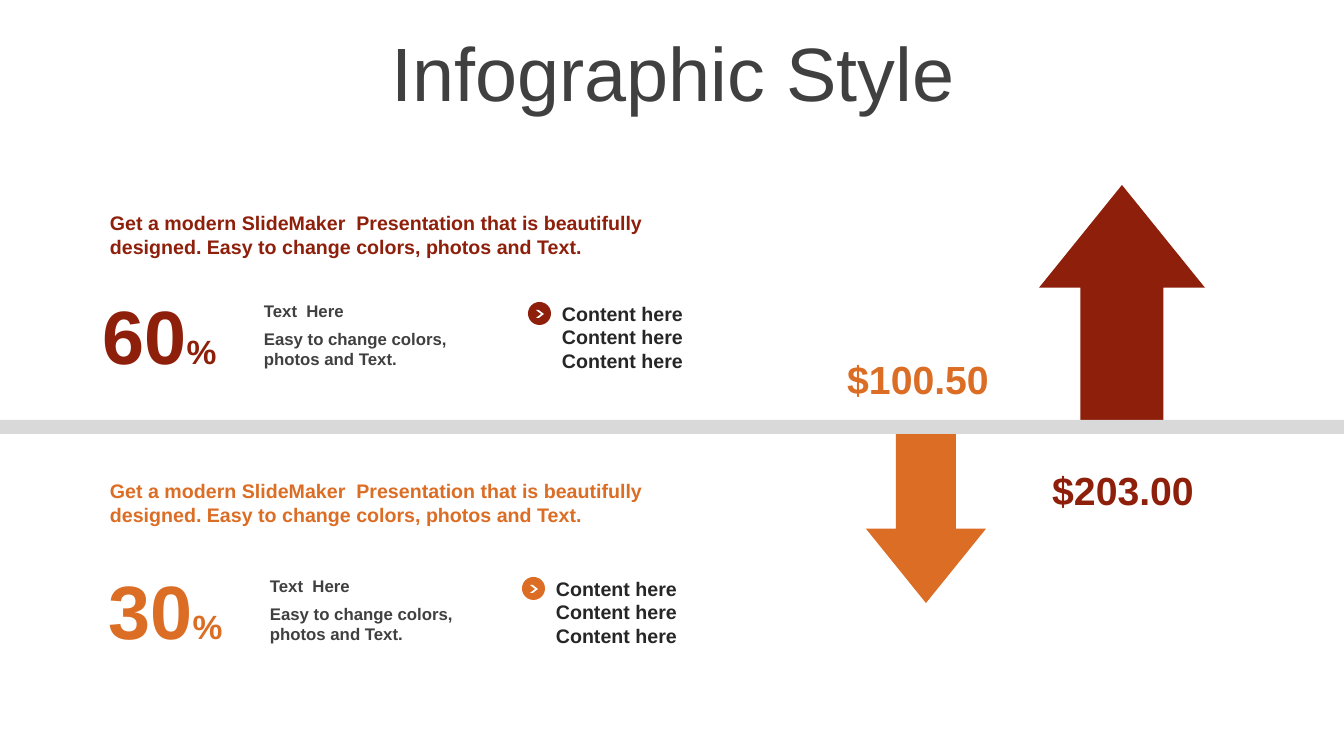
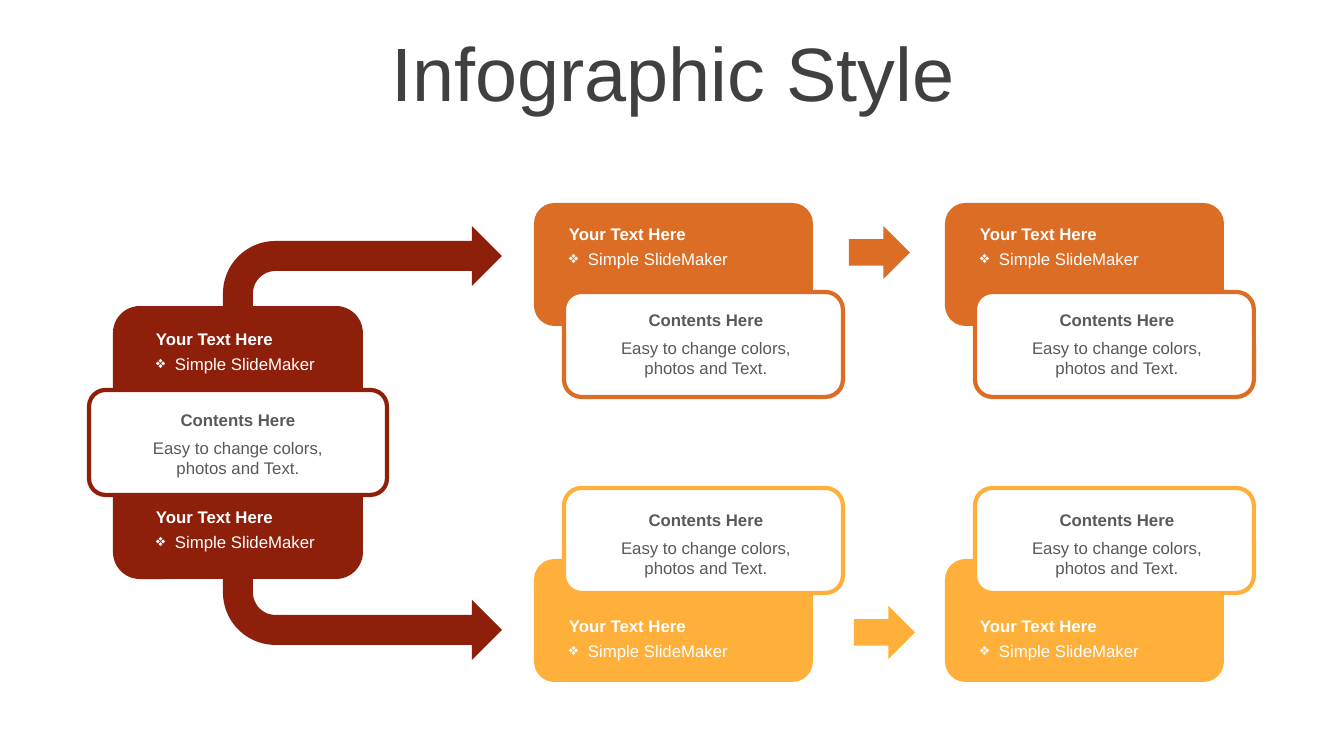
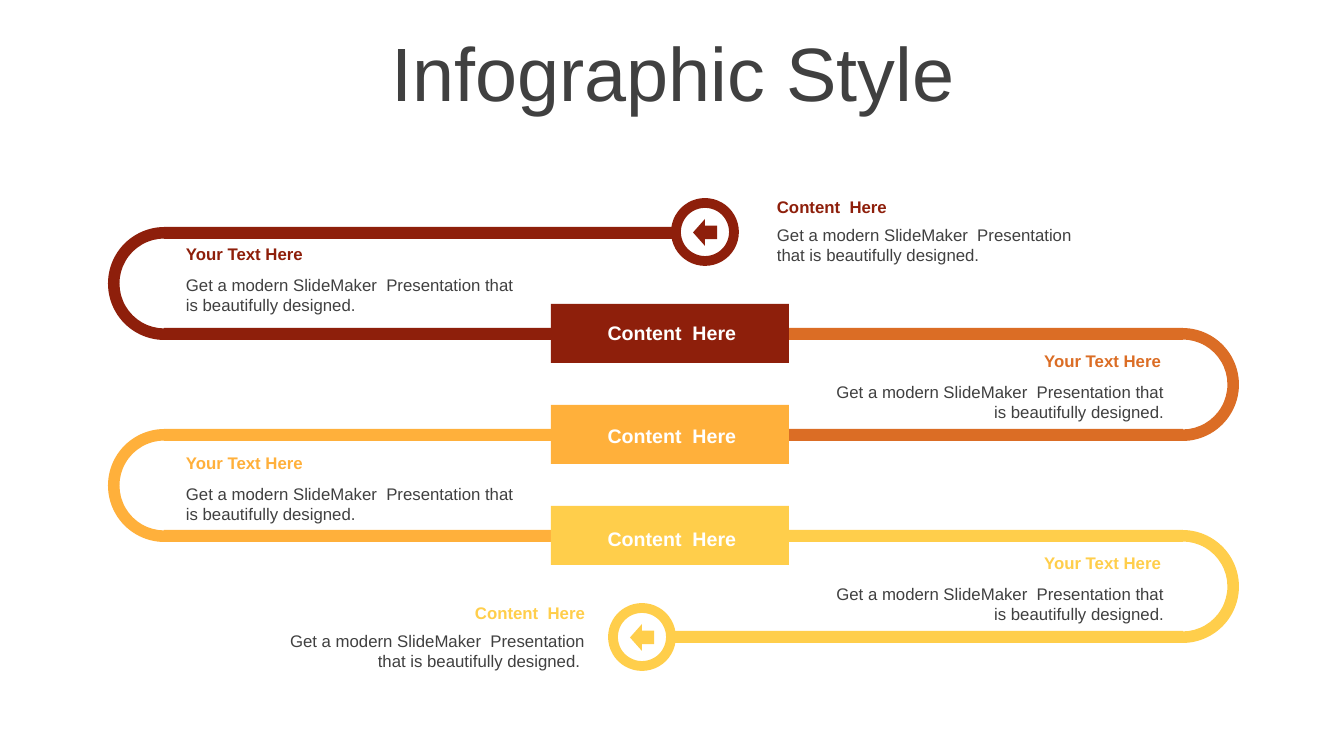
from pptx import Presentation
from pptx.dml.color import RGBColor
from pptx.enum.shapes import MSO_SHAPE as SHAPE
from pptx.enum.text import MSO_ANCHOR as ANCHOR, PP_ALIGN as ALIGN
from pptx.oxml.ns import qn
from pptx.util import Emu, Pt
from lxml.etree import SubElement

PX = 914400 / 100.8
FONT = "Arial"
C = {
    "red": "8E1F0B", "orange": "DB6D25", "amber": "FFB03B", "yellow": "FFCE4B",
    "white": "FFFFFF", "band": "D9D9D9",
    "ink": "262626", "dark": "404040", "gray": "595959",
}
PITCH = "Get a modern SlideMaker  Presentation that is beautifully designed."
EASY = "Easy to change colors, photos and Text."


def text(s, x, y, w, h, words, color="dark", size=12, bold=False, align=ALIGN.LEFT,
         anchor=ANCHOR.MIDDLE, spacing=None, bullet=None, unit=""):
    """Add a text box; each line of words is a paragraph, unit is a smaller last run."""
    tf = s.shapes.add_textbox(*(Emu(round(v * PX)) for v in (x, y, w, h))).text_frame
    tf.word_wrap = True
    tf.vertical_anchor = anchor
    for i, line in enumerate(words.split("\n")):
        p = tf.paragraphs[0] if i == 0 else tf.add_paragraph()
        p.alignment = align
        if spacing:
            p.line_spacing = spacing
        if bullet:
            pPr = p._p.get_or_add_pPr()
            pPr.set("marL", str(round(19 * PX)))
            pPr.set("indent", str(round(-19 * PX)))
            SubElement(pPr, qn("a:buChar")).set("char", bullet)
        for part, pt in ((line, size), (unit, 24)):
            if part:
                r = p.add_run()
                r.text = part
                r.font.name = FONT
                r.font.size = Pt(pt)
                r.font.bold = bold
                r.font.color.rgb = RGBColor.from_string(C[color])


def shape(s, kind, x, y, w, h, fill=None, line=None, line_pt=3, adj=()):
    """Add a preset shape with an optional fill, outline and adjustments."""
    sp = s.shapes.add_shape(kind, *(Emu(round(v * PX)) for v in (x, y, w, h)))
    sp.shadow.inherit = False
    for i, value in enumerate(adj):
        sp.adjustments[i] = value
    if fill:
        sp.fill.solid()
        sp.fill.fore_color.rgb = RGBColor.from_string(C[fill])
    else:
        sp.fill.background()
    if line:
        sp.line.color.rgb = RGBColor.from_string(C[line])
        sp.line.width = Pt(line_pt)
    else:
        sp.line.fill.background()
    return sp


prs = Presentation()
prs.slide_width = Emu(round(1344 * PX))
prs.slide_height = Emu(round(756 * PX))

# Slides with the shared title
growth, flow, path_map = [prs.slides.add_slide(prs.slide_layouts[6]) for _ in range(3)]
for s in (growth, flow, path_map):
    text(s, 35, 37, 1276, 80, "Infographic Style", size=54, align=ALIGN.CENTER, spacing=0.9)

# Slide 1: arrows and amounts on either side of the band
s = growth
shape(s, SHAPE.UP_ARROW, 1039, 185, 166, 235, "red", adj=(0.5, 0.619))
shape(s, SHAPE.DOWN_ARROW, 866, 434, 120, 169, "orange", adj=(0.5, 0.619))
for x, y, amount, color in ((822, 350, "$100.50", "orange"), (1027, 461, "$203.00", "red")):
    text(s, x, y, 192, 57, amount, color, size=28, bold=True, align=ALIGN.CENTER)

# Slide 1: headline, percentage, note and list for each half
for color, headline_y, y, dx, percent in (("red", 206, 296, 0, "60"),
                                          ("orange", 474, 571, 6, "30")):
    text(s, 100, headline_y, 640, 57, f"{PITCH} {EASY}", color, size=14, bold=True,
         anchor=ANCHOR.TOP)
    text(s, 88 + dx, y - 12, 143, 102, percent, color, size=54, bold=True,
         align=ALIGN.CENTER, anchor=ANCHOR.TOP, unit="%")
    text(s, 254 + dx, y, 209, 30, "Text  Here", bold=True)
    text(s, 254 + dx, y + 28, 209, 50, EASY, bold=True, anchor=ANCHOR.TOP)
    shape(s, SHAPE.OVAL, 528 - dx, y + 6, 23, 23, color)
    shape(s, SHAPE.CHEVRON, 536 - dx, y + 14, 8, 8, "white", adj=(0.652,))
    text(s, 552 - dx, y, 152, 82, "\n".join(["Content here"] * 3), "ink", size=14, bold=True)
shape(s, SHAPE.RECTANGLE, 0, 420, 1344, 14, "band")

# Slide 2: bent arrows and the starting box
s = flow
shape(s, SHAPE.BENT_ARROW, 223, 226, 279, 120, "red")
lower_arrow = shape(s, SHAPE.BENT_ARROW, 223, 540, 279, 120, "red")
lower_arrow._element.spPr.xfrm.set("flipV", "1")
shape(s, SHAPE.ROUNDED_RECTANGLE, 113, 306, 250, 273, "red", adj=(0.108,))
shape(s, SHAPE.ROUNDED_RECTANGLE, 89, 390, 298, 105, "white", "red", adj=(0.157,))
labels = [(146, 324, 183), (146, 502, 183)]
contents = [(136, 406, 204)]

# Slide 2: two cards in each row, with an arrow between them
for color, box_y, panel_y, label_y, content_y, arrow_x, arrow_y in (
        ("orange", 203, 292, 219, 306, 849, 226),
        ("amber", 559, 488, 611, 506, 854, 606)):
    for x in (534, 945):
        shape(s, SHAPE.ROUNDED_RECTANGLE, x, box_y, 279, 123, color)
        shape(s, SHAPE.ROUNDED_RECTANGLE, x + 30, panel_y, 279, 105, "white", color)
        labels.append((x + 25, label_y, 236))
        contents.append((x + 58, content_y, 228))
    shape(s, SHAPE.RIGHT_ARROW, arrow_x, arrow_y, 61, 53, color)

# Slide 2: wording of boxes and panels
for x, y, w in labels:
    text(s, x, y, w, 30, "Your Text Here", "white", bold=True)
    text(s, x, y + 25, w, 30, "Simple SlideMaker", "white", bullet="❖")
for x, y, w in contents:
    text(s, x, y, w, 28, "Contents Here", "gray", bold=True, align=ALIGN.CENTER)
    text(s, x, y + 30, w, 43, EASY, "gray", align=ALIGN.CENTER)

# Slide 3: the winding track, one loop per row; bars give start and end
s = path_map
for i, (color, left, top_bar, bottom_bar, heading_y) in enumerate((
        ("red", True, (164, 680), (164, 561), 239),
        ("orange", False, (787, 1183), (787, 1183), 346),
        ("amber", True, (164, 561), (164, 561), 448),
        ("yellow", False, (787, 1183), (669, 1183), 548))):
    y = 227 + 101 * i
    shape(s, SHAPE.BLOCK_ARC, 108 if left else 1126, y, 113, 113, color,
          adj=(54, 162, 0.102) if left else (162, 54, 0.102))
    for bar_y, (start, end) in ((y, top_bar), (y + 101, bottom_bar)):
        shape(s, SHAPE.RECTANGLE, start, bar_y, end - start, 12, color)
    x, align = (176, ALIGN.LEFT) if left else (818, ALIGN.RIGHT)
    text(s, x, heading_y, 353, 30, "Your Text Here", color, bold=True, align=align)
    text(s, x, heading_y + 31, 356, 50, PITCH, align=align, anchor=ANCHOR.TOP)

# Slide 3: centre boxes
for i, color in enumerate(("red", "amber", "yellow")):
    shape(s, SHAPE.RECTANGLE, 551, 304 + 101 * i, 238, 59, color)
    text(s, 577, 316 + 103 * i, 190, 34, "Content  Here", "white", size=14, bold=True,
         align=ALIGN.CENTER)

# Slide 3: rings at both ends of the track
for color, x, y, text_x, text_y, align, pitch in (
        ("red", 676, 203, 767, 192, ALIGN.LEFT, PITCH),
        ("yellow", 613, 608, 270, 598, ALIGN.RIGHT, PITCH + " ")):
    shape(s, SHAPE.OVAL, x, y, 58, 58, line=color, line_pt=7)
    shape(s, SHAPE.LEFT_ARROW, x + 17, y + 16, 24, 27, color)
    text(s, text_x, text_y, 325, 30, "Content  Here", color, bold=True, align=align)
    text(s, text_x, text_y + 28, 325, 50, pitch, align=align, anchor=ANCHOR.TOP)

prs.save("out.pptx")
